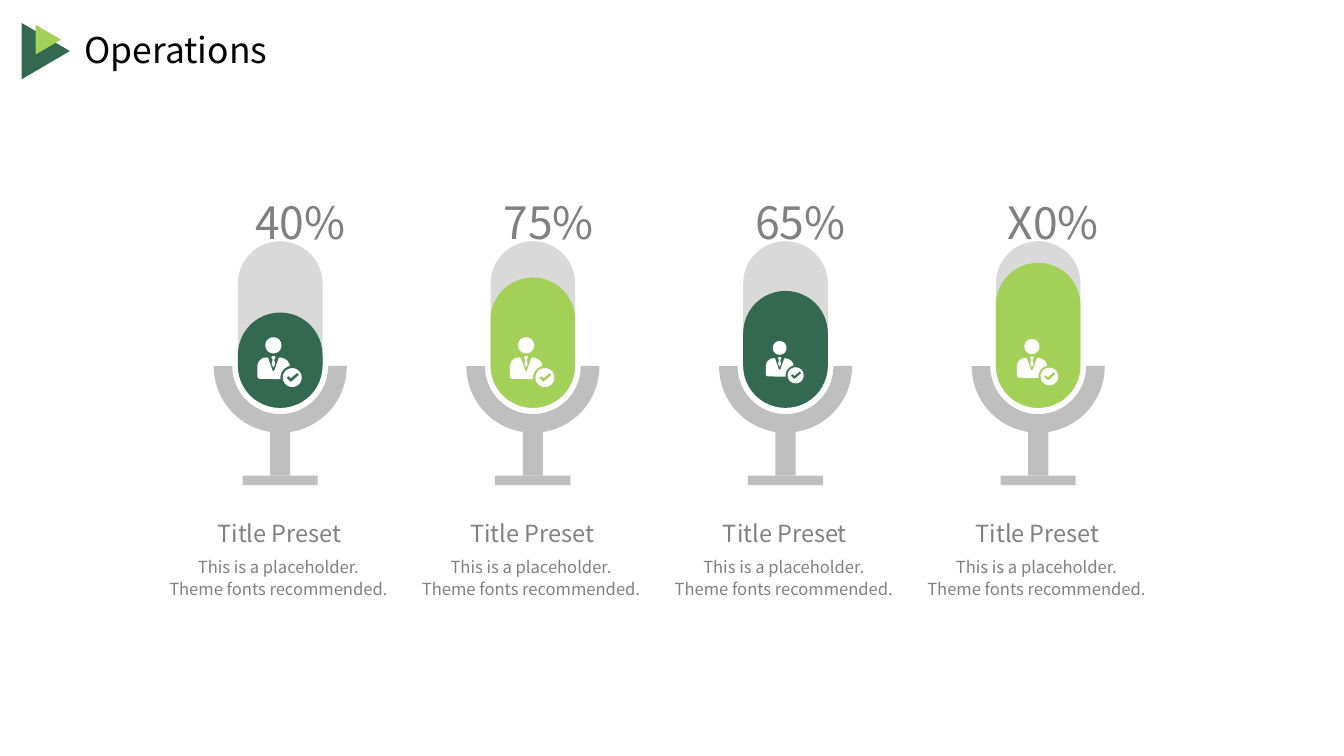
import math

import pptx
import pptx.dml.color
import pptx.enum.shapes
import pptx.enum.text
import pptx.util

FONT = "Noto Sans CJK SC"
BLACK, WHITE, TEXT = "000000", "FFFFFF", "808080"
STAND, TRACK = "BFBFBF", "D9D9D9"
GREEN, LIME = "336951", "A3D157"

SHAPE = pptx.enum.shapes.MSO_SHAPE
ALIGN = pptx.enum.text.PP_ALIGN
ANCHOR = pptx.enum.text.MSO_ANCHOR

prs = pptx.Presentation()
prs.slide_width = pptx.util.Inches(10)
prs.slide_height = prs.slide_width * 9 // 16
COL = prs.slide_width / 100


def grid(*lengths):
    return [round(n * COL) for n in lengths]


def color(hex_string):
    return pptx.dml.color.RGBColor.from_string(hex_string)


def paint(sp, fill):
    sp.shadow.inherit = False
    sp.fill.solid()
    sp.fill.fore_color.rgb = color(fill)
    sp.line.fill.background()
    return sp


def add_block(shapes, kind, box, fill, adjustments=()):
    sp = paint(shapes.add_shape(kind, *grid(*box)), fill)
    for i, value in enumerate(adjustments):
        sp.adjustments[i] = value
    return sp


def write(sp, text, size, fill=TEXT, align=ALIGN.LEFT, anchor=ANCHOR.TOP,
          wrap=False, insets=(1, 0.5), spacing=None):
    tf = sp.text_frame
    tf.word_wrap = wrap
    tf.auto_size = pptx.enum.text.MSO_AUTO_SIZE.NONE
    tf.vertical_anchor = anchor
    side, edge = grid(*insets)
    tf.margin_left = tf.margin_right = side
    tf.margin_top = tf.margin_bottom = edge
    p = tf.paragraphs[0]
    p.text = text
    p.alignment = align
    if spacing:
        p.line_spacing = spacing
    for r in p.runs:
        r.font.name = FONT
        r.font.size = pptx.util.Pt(size)
        r.font.color.rgb = color(fill)


def arc(cx, cy, radius, start=0, end=360, steps=36):
    angles = [math.radians(start + (end - start) * i / steps) for i in range(steps + 1)]
    return [(cx + radius * math.cos(a), cy + radius * math.sin(a)) for a in angles]


ICON_WIDTH, ICON_HEIGHT = 330, 370
HEAD = arc(120, 60, 60)
BADGE = arc(260, 300, 70)
CHECK = [(295, 265), (250, 305), (230, 288), (217, 303), (250, 333), (310, 280)]
TORSO = ([(70, 150), (80, 152), (114, 250), (126, 250), (160, 152), (170, 150),
          (200, 158), (225, 175), (240, 200)]
         + arc(260, 300, 88, 257, 173)
         + [(20, 310), (5, 305), (0, 290), (0, 210), (10, 180), (40, 155)])
TIE = [(112, 140), (128, 140), (136, 150), (126, 165), (133, 200), (120, 225),
       (107, 200), (114, 165), (104, 150)]


def add_icon(shapes, cx, cy, scale):
    builder = shapes.build_freeform(*HEAD[0], scale=COL * scale / 100)
    builder.add_line_segments(HEAD[1:])
    for outline in (BADGE, CHECK, TORSO, TIE):
        builder.move_to(*outline[0])
        builder.add_line_segments(outline[1:])
    origin = grid(cx - ICON_WIDTH * scale / 200, cy - ICON_HEIGHT * scale / 200)
    paint(builder.convert_to_shape(*origin), WHITE)


def add_header(slide, x, y, text):
    for box, fill in (((0, 0.4, 4.2, 3.6), GREEN), ((1.2, 0.4, 2.2, 1.9), LIME)):
        left, top, width, height = box
        sp = add_block(slide.shapes, SHAPE.ISOSCELES_TRIANGLE,
                       (x + left, y + top, width, height), fill)
        sp.rotation = 90
    title = slide.shapes.title
    title.left, title.top, title.width, title.height = grid(x + 4, y, 16.2, 4.2)
    write(title, text, 19, BLACK)


def add_microphone(slide, x, y, percent, level, fill, icon_scale, label_x):
    shapes = slide.shapes.add_group_shape().shapes
    cradle = add_block(shapes, SHAPE.BLOCK_ARC, (x + 4.6, y + 8.3, 9.9, 9.9), STAND,
                       (108, 0.19, 0.14))
    cradle._element.spPr.xfrm.set("flipV", "1")
    add_block(shapes, SHAPE.RECTANGLE, (x + 8.8, y + 17.9, 1.5, 3.5), STAND)
    add_block(shapes, SHAPE.RECTANGLE, (x + 6.75, y + 21.4, 5.6, 0.7), STAND)
    for height, tone in ((12.4, TRACK), (level, fill)):
        add_block(shapes, SHAPE.ROUNDED_RECTANGLE,
                  (x + 6.4, y + 16.35 - height, 6.3, height), tone, (0.5,))
    add_icon(shapes, x + 9.5, y + 12.95, icon_scale)

    write(shapes.add_textbox(*grid(x + label_x, y, 7.4, 4.3)), percent, 23.8)
    write(shapes.add_textbox(*grid(x + 0.8, y + 24.6, 17.4, 1.7)), "Title Preset", 12.6,
          align=ALIGN.CENTER, insets=(0.8, 0))
    write(shapes.add_textbox(*grid(x, y + 26.8, 19.1, 4.2)),
          "This is a placeholder. \nTheme fonts recommended. ", 8.9, align=ALIGN.CENTER,
          anchor=ANCHOR.MIDDLE, wrap=True, insets=(0.8, 0), spacing=1.1)


MICROPHONES = [
    ("40%", 7.1, GREEN, 1, 6.7),
    ("75%", 9.7, LIME, 1, 6.4),
    ("65%", 8.7, GREEN, 0.85, 6.3),
    ("X0%", 10.8, LIME, 0.93, 6.3),
]

slide = prs.slides.add_slide(prs.slide_layouts[5])
add_header(slide, 1.3, 1.6, "Operations")
for i, microphone in enumerate(MICROPHONES):
    add_microphone(slide, 11.3 + 18.8 * i, 14, *microphone)

prs.save("out.pptx")
